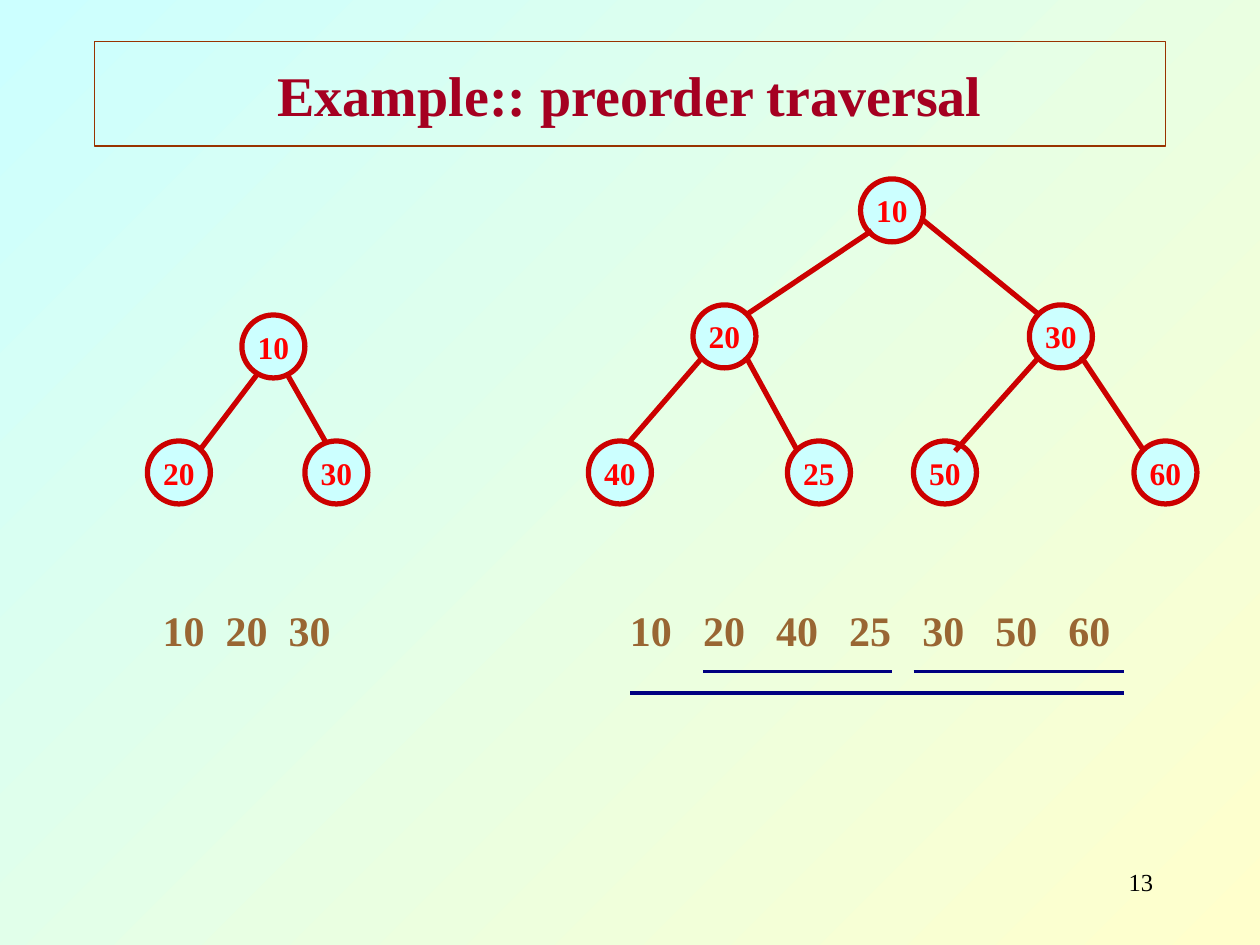
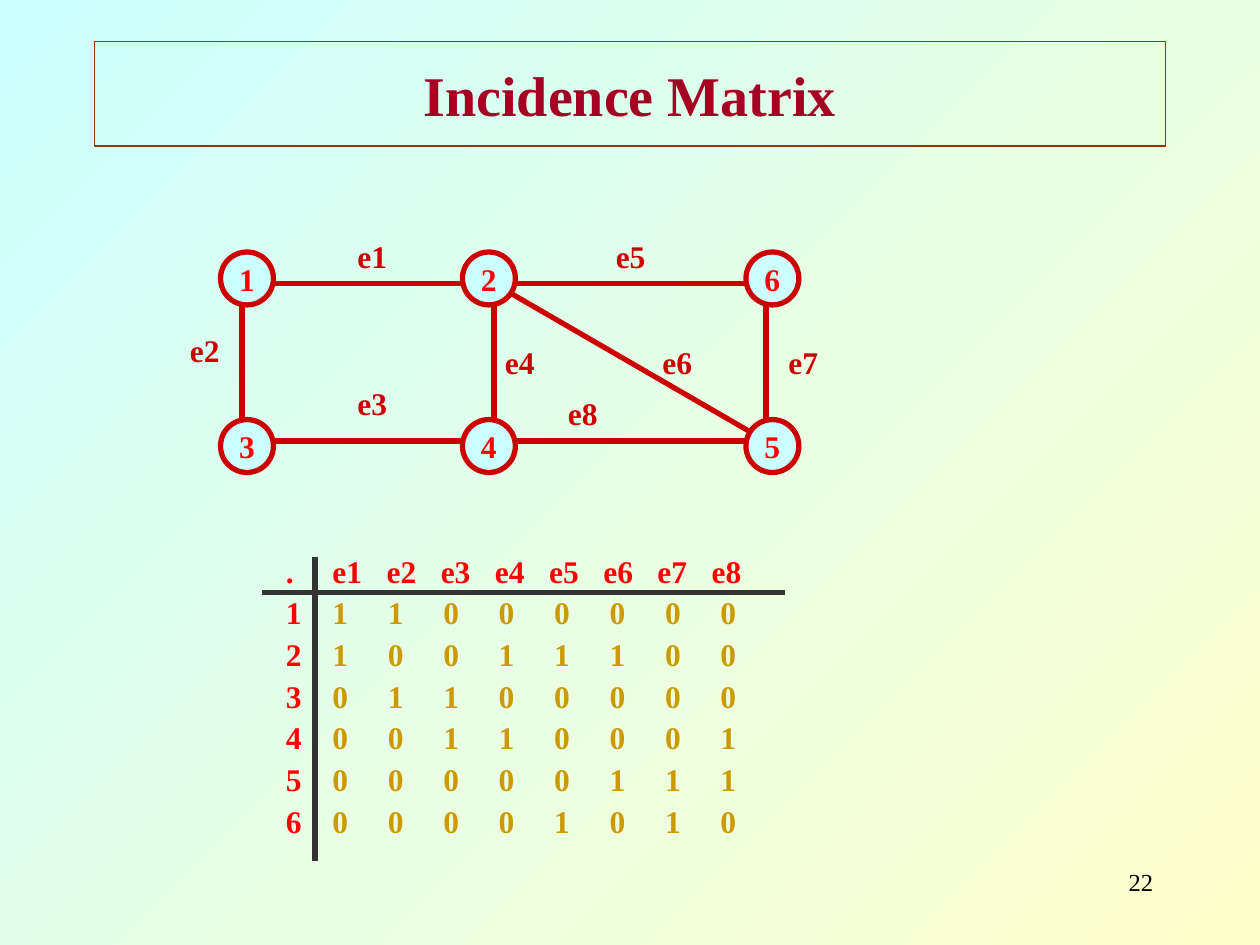
from lxml import etree
from pptx import Presentation
from pptx.dml.color import RGBColor
from pptx.enum.shapes import MSO_CONNECTOR, MSO_SHAPE
from pptx.enum.text import MSO_ANCHOR, PP_ALIGN
from pptx.oxml.ns import qn
from pptx.util import Inches, Pt

LINE = MSO_CONNECTOR.STRAIGHT
RECT, OVAL = MSO_SHAPE.RECTANGLE, MSO_SHAPE.OVAL
MIDDLE = MSO_ANCHOR.MIDDLE
LEFT, CENTER, RIGHT = PP_ALIGN.LEFT, PP_ALIGN.CENTER, PP_ALIGN.RIGHT

FONT = "Times New Roman"
CREAM = RGBColor(0xFF, 0xFF, 0xCC)
AQUA = RGBColor(0xCC, 0xFF, 0xFF)
RUST = RGBColor(0x99, 0x33, 0x00)
WINE = RGBColor(0xA5, 0x00, 0x21)
CRIMSON = RGBColor(0xCC, 0x00, 0x00)
RED = RGBColor(0xFF, 0x00, 0x00)
BROWN = RGBColor(0x99, 0x66, 0x33)
GOLD = RGBColor(0xCC, 0x99, 0x00)
NAVY = RGBColor(0x00, 0x00, 0x80)
GRAY = RGBColor(0x33, 0x33, 0x33)
BLACK = RGBColor(0x00, 0x00, 0x00)

SMALL_TREE = [("30", 2.42, 3.5), ("20", 1.17, 3.5), ("10", 1.92, 2.5)]
SMALL_EDGES = [(2.25, 2.92, 2.58, 3.5), (2.08, 2.92, 1.58, 3.58)]
LARGE_TREE = [
    ("10", 6.83, 1.42), ("50", 7.25, 3.5), ("25", 6.25, 3.5),
    ("40", 4.67, 3.5), ("30", 8.17, 2.42), ("20", 5.5, 2.42), ("60", 9, 3.5),
]
LARGE_EDGES = [
    (6.92, 1.83, 5.92, 2.5), (7.33, 1.75, 8.25, 2.5),
    (5.58, 2.83, 5, 3.5), (5.92, 2.83, 6.33, 3.58),
    (8.25, 2.83, 7.58, 3.58), (8.58, 2.83, 9.08, 3.58),
]
SPANS = [(5.58, 5.33, 7.08, 5.33), (7.25, 5.33, 8.92, 5.33),
         (5, 5.5, 8.92, 5.5)]

GRAPH_COLS = (1.75, 3.67, 5.92)
GRAPH_ROWS = ((2, "126"), (3.33, "345"))
GRAPH_EDGES = [
    (3.92, 2.25, 6.08, 3.5), (6.08, 2.33, 6.08, 3.42),
    (4, 2.25, 6, 2.25), (3.96, 3.5, 6.04, 3.5),
    (3.92, 2.33, 3.92, 3.42), (1.92, 2.33, 1.92, 3.42),
    (2.08, 3.5, 3.83, 3.5), (2.08, 2.25, 3.83, 2.25),
]
EDGE_NAMES = [
    ("e8", 4.25, 3.08), ("e5", 4.63, 1.83), ("e4", 3.75, 2.67),
    ("e3", 2.58, 3), ("e2", 1.25, 2.58), ("e1", 2.58, 1.83),
    ("e7", 6, 2.67), ("e6", 5, 2.67),
]
MATRIX = ["11000000", "10011100", "01100000",
          "00110001", "00000111", "00001010"]
AXES = [(2.08, 4.7, 6.23, 4.7), (2.5, 4.42, 2.5, 6.83)]


def style(para, size, color, bold=True, align=CENTER):
    para.alignment = align
    font = para.font
    font.name, font.size, font.bold = FONT, Pt(size), bold
    font.color.rgb = color


def add_text(slide, text, box, size, color, bold=True, align=CENTER):
    frame = slide.shapes.add_textbox(*map(Inches, box)).text_frame
    frame.word_wrap = True
    para = frame.paragraphs[0]
    para.text = text
    style(para, size, color, bold, align)
    return frame


def set_tabs(para, first, step, count):
    tabs = etree.Element(qn("a:tabLst"))
    for i in range(count):
        stop = etree.SubElement(tabs, qn("a:tab"))
        stop.set("pos", str(Inches(first + i * step)))
        stop.set("algn", "l")
    props = para._p.get_or_add_pPr()
    props.find(qn("a:defRPr")).addprevious(tabs)


def add_shape(slide, kind, box, text, size, color, edge, width, fill=None):
    shape = slide.shapes.add_shape(kind, *map(Inches, box))
    shape.shadow.inherit = False
    if fill is None:
        shape.fill.background()
    else:
        shape.fill.solid()
        shape.fill.fore_color.rgb = fill
    shape.line.color.rgb = edge
    shape.line.width = Pt(width)
    frame = shape.text_frame
    frame.word_wrap = kind == RECT
    frame.vertical_anchor = MIDDLE
    frame.text = text
    style(frame.paragraphs[0], size, color)


def add_node(slide, text, left, top, size):
    add_shape(slide, OVAL, (left, top, size, size), text, 18, RED,
              CRIMSON, 3, AQUA)


def add_lines(slide, lines, color=CRIMSON, width=3):
    for ends in lines:
        line = slide.shapes.add_connector(LINE, *map(Inches, ends))
        line.line.color.rgb = color
        line.line.width = Pt(width)
        props = line._element.spPr
        etree.SubElement(props, qn("a:effectLst"))


def add_order(slide, items, box, inset, step):
    words = items.split()
    frame = add_text(slide, "\t".join(words), box, 24, BROWN, align=LEFT)
    frame.margin_left = Inches(inset)
    set_tabs(frame.paragraphs[0], step, step, len(words) - 1)


def add_matrix(slide):
    head = "\t".join(["."] + [f"e{i}" for i in range(1, 9)])
    frame = add_text(slide, head, (2.17, 4.33, 4.33, 2.39), 18, RED,
                     align=LEFT)
    set_tabs(frame.paragraphs[0], 0.37, 0.43, 8)
    for i, row in enumerate(MATRIX, 1):
        para = frame.add_paragraph()
        para.space_before = Pt(2.2)
        style(para, 18, GOLD, align=LEFT)
        set_tabs(para, 0.37, 0.44, 8)
        name = para.add_run()
        name.text = f"{i}\t"
        name.font.color.rgb = RED
        para.add_run().text = "\t".join(row)


def add_slide(deck, title, page):
    slide = deck.slides.add_slide(deck.slide_layouts[6])
    fill = slide.background.fill
    fill.gradient()
    fill.gradient_angle = 135
    for stop, color, place in zip(fill.gradient_stops, (CREAM, AQUA), (0, 1)):
        stop.color.rgb = color
        stop.position = place
    add_shape(slide, RECT, (0.75, 0.33, 8.5, 0.83), title, 32, WINE,
              RUST, 0.75)
    add_text(slide, page, (7.17, 6.83, 2.08, 0.5), 14, BLACK, False, RIGHT)
    return slide


def draw_trees(deck):
    slide = add_slide(deck, "Example:: preorder traversal", "13")
    add_lines(slide, SMALL_EDGES)
    for node in SMALL_TREE + LARGE_TREE:
        add_node(slide, *node, 0.5)
    add_lines(slide, LARGE_EDGES)
    add_order(slide, "10 20 30", (0.67, 4.75, 2.58, 0.5), 0.62, 0.5)
    add_order(slide, "10 20 40 25 30 50 60", (4.17, 4.75, 5.5, 0.5),
              0.83, 0.58)
    add_lines(slide, SPANS, NAVY, 2)


def draw_graph(deck):
    slide = add_slide(deck, "Incidence Matrix", "22")
    add_lines(slide, GRAPH_EDGES)
    for top, names in GRAPH_ROWS:
        for left, name in zip(GRAPH_COLS, names):
            add_node(slide, name, left, top, 0.42)
    for name, left, top in EDGE_NAMES:
        add_text(slide, name, (left, top, 0.75, 0.4), 18, CRIMSON)
    add_matrix(slide)
    add_lines(slide, AXES, GRAY)


def main():
    deck = Presentation()
    deck.slide_width, deck.slide_height = Inches(10), Inches(7.5)
    draw_trees(deck)
    draw_graph(deck)
    deck.save("out.pptx")


if __name__ == "__main__":
    main()
